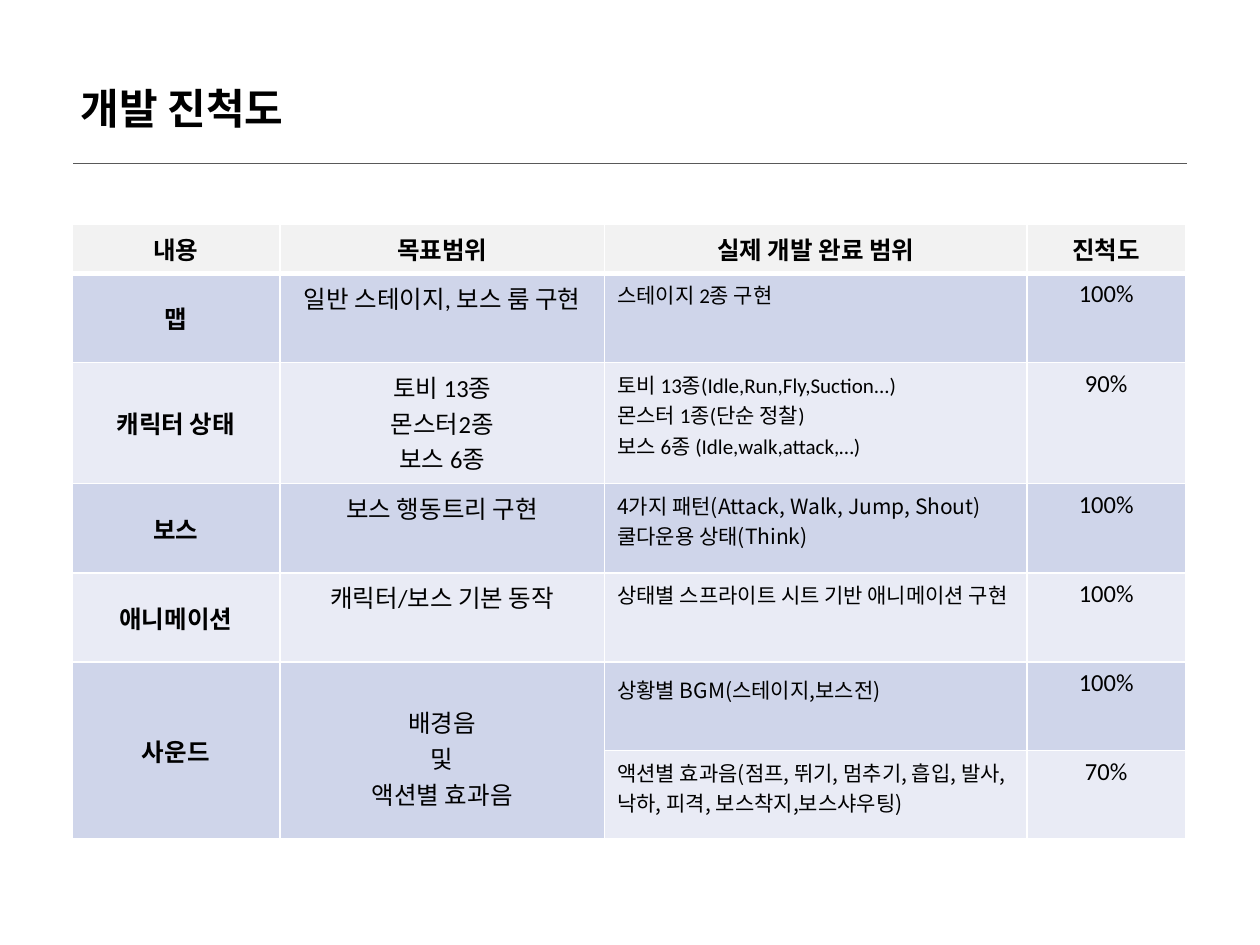
from pptx import Presentation
from pptx.util import Cm, Pt
from pptx.dml.color import RGBColor as RGB
from pptx.enum.text import PP_ALIGN as AL, MSO_ANCHOR as ANC
from pptx.oxml.ns import qn
from lxml.etree import SubElement as Sub

COLORS = {"text": "000000", "rule": "595959", "white": "FFFFFF",
          "head": "F2F2F2", "dark": "CFD5EA", "light": "E9EBF5"}
LATIN, KOREAN = "Calibri", "Noto Sans CJK KR"


def put_text(tf, text, size=14, font=LATIN, bold=False, align=AL.CENTER):
    for i, line in enumerate(text.split("\n")):
        p = tf.paragraphs[0] if i == 0 else tf.add_paragraph()
        p.alignment = align
        r = p.add_run()
        r.text = line
        r.font.size, r.font.bold, r.font.name = Pt(size), bold, font
        r.font.color.rgb = RGB.from_string(COLORS["text"])
        Sub(r.font._element, qn("a:ea"), typeface=KOREAN)


class Deck:
    def __init__(self, s):
        self.s = s

    def table(self, x, y, widths, heights):
        sp = self.s.shapes.add_table(len(heights), len(widths), Cm(x), Cm(y),
                                     Cm(sum(widths)), Cm(sum(heights)))
        t = sp.table
        t.first_row = t.horz_banding = False
        for col, w in zip(t.columns, widths):
            col.width = Cm(w)
        for row, h in zip(t.rows, heights):
            row.height = Cm(h)
        return t

    def border(self, cell, side, color, width):
        tc_pr = cell._tc.get_or_add_tcPr()
        ln = Sub(tc_pr, qn("a:ln" + side), w=str(Pt(width)))
        fill = Sub(ln, qn("a:solidFill"))
        Sub(fill, qn("a:srgbClr"), val=COLORS[color])

    def cell(self, cell, text, fill, bottom=1, middle=False, **fmt):
        for side in "LRTB":
            self.border(cell, side, "white", bottom if side == "B" else 1)
        cell.fill.solid()
        cell.fill.fore_color.rgb = RGB.from_string(COLORS[fill])
        if middle:
            cell.vertical_anchor = ANC.MIDDLE
        if text:
            put_text(cell.text_frame, text, **fmt)

    def title(self, text):
        cell = self.table(1.45, 0.99, [22.5], [2.31]).cell(0, 0)
        self.border(cell, "B", "rule", 1)
        cell.fill.background()
        cell.vertical_anchor = ANC.MIDDLE
        cell.margin_left = cell.margin_right = Cm(0.18)
        cell.margin_top = cell.margin_bottom = Cm(0.1)
        put_text(cell.text_frame, text, size=24, font=KOREAN, bold=True, align=AL.LEFT)

    def progress(self, head, rows):
        t = self.table(1.45, 4.52, [4.19, 6.55, 8.51, 3.2],
                       [0.99, 1.8, 2.44, 1.8, 1.8, 1.78, 1.78])
        for c, text in enumerate(head):
            self.cell(t.cell(0, c), text, "head", bottom=3, middle=c == 0,
                      bold=True, font=LATIN if c < 2 else KOREAN)
        for i, (topic, goal, done, rate, font) in enumerate(rows, 1):
            fill = "dark" if i % 2 else "light"
            self.cell(t.cell(i, 0), topic, fill, middle=True, bold=True)
            self.cell(t.cell(i, 1), goal, fill)
            self.cell(t.cell(i, 2), done, fill, size=12, font=font, align=AL.LEFT)
            self.cell(t.cell(i, 3), rate, fill)
        for c in (0, 1):
            t.cell(5, c).merge(t.cell(6, c))
        t.cell(5, 1).margin_top = Cm(0.85)
        t.cell(5, 2).margin_top = Cm(0.23)


HEAD = ["내용", "목표범위", "실제 개발 완료 범위", "진척도"]
ROWS = [
    ("맵", "일반 스테이지, 보스 룸 구현", "스테이지 2종 구현", "100%", LATIN),
    ("캐릭터 상태", "토비 13종\n몬스터2종\n보스 6종",
     "토비 13종(Idle,Run,Fly,Suction...)\n몬스터 1종(단순 정찰)\n보스 6종 (Idle,walk,attack,…)",
     "90%", LATIN),
    ("보스", "보스 행동트리 구현",
     "4가지 패턴(Attack, Walk, Jump, Shout)\n쿨다운용 상태(Think)", "100%", KOREAN),
    ("애니메이션", "캐릭터/보스 기본 동작",
     "상태별 스프라이트 시트 기반 애니메이션 구현", "100%", KOREAN),
    ("사운드", "배경음\n및\n액션별 효과음", "상황별 BGM(스테이지,보스전)", "100%", KOREAN),
    (None, None,
     "액션별 효과음(점프, 뛰기, 멈추기, 흡입, 발사, 낙하, 피격, 보스착지,보스샤우팅)",
     "70%", KOREAN),
]


def main():
    prs = Presentation()
    prs.slide_width, prs.slide_height = Cm(25.4), Cm(19.05)
    deck = Deck(prs.slides.add_slide(prs.slide_layouts[6]))
    deck.title("개발 진척도")
    deck.progress(HEAD, ROWS)
    prs.save("out.pptx")


if __name__ == "__main__":
    main()
